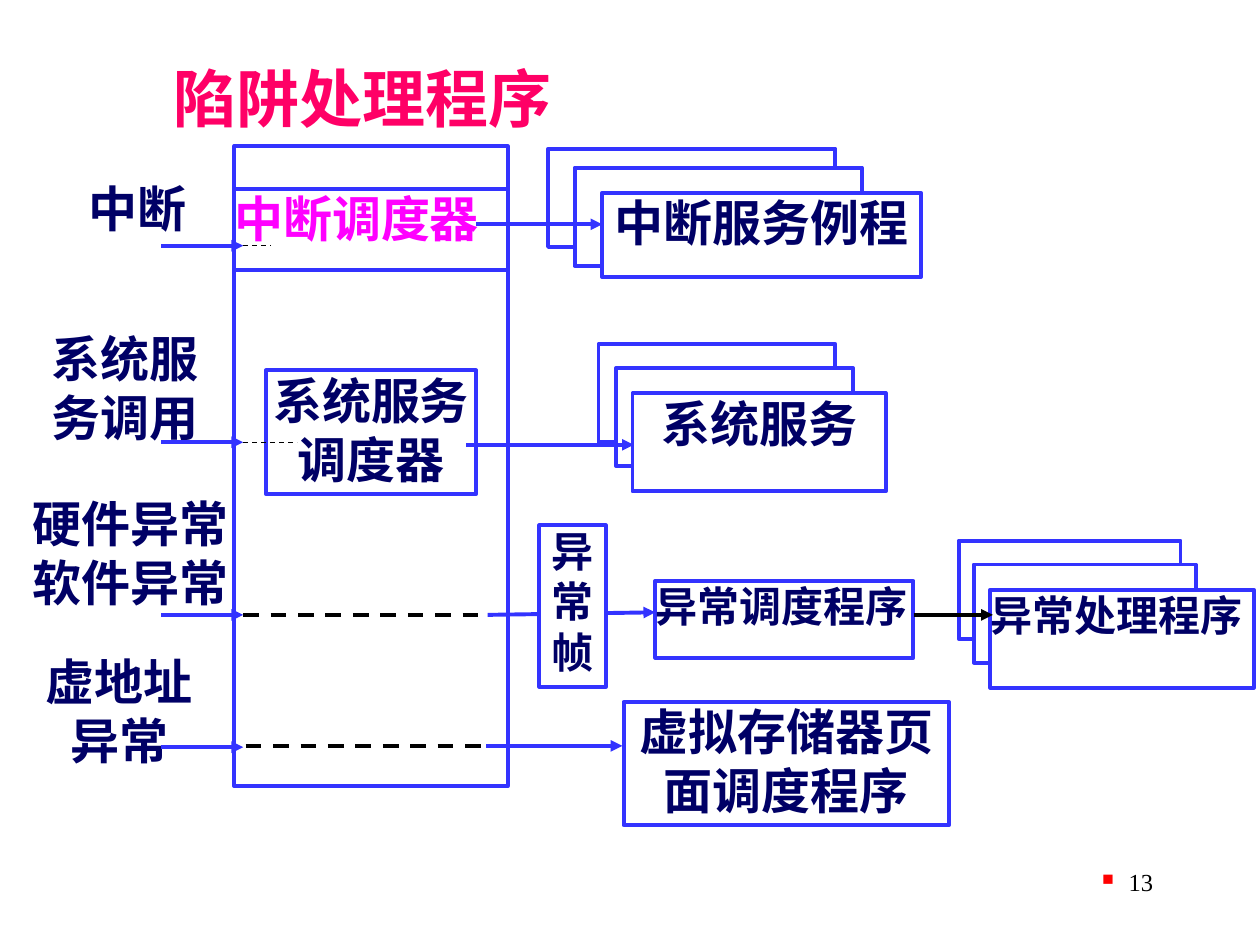
from dataclasses import dataclass
from typing import Optional

from lxml.etree import SubElement
from pptx import Presentation
from pptx.dml.color import RGBColor
from pptx.enum.dml import MSO_LINE
from pptx.enum.shapes import MSO_CONNECTOR, MSO_SHAPE
from pptx.enum.text import MSO_ANCHOR, PP_ALIGN
from pptx.oxml.ns import qn
from pptx.util import Inches, Pt


@dataclass(frozen=True)
class Theme:
    font: str = "Times New Roman"
    paper: str = "FFFFFF"
    blue: str = "3333FF"
    navy: str = "000066"
    pink: str = "FF0066"
    magenta: str = "FF00FF"
    black: str = "000000"
    red: str = "FF0000"
    title: int = 36
    body: int = 28
    small: int = 24
    number: int = 14
    thick: float = 2.25
    thin: float = 0.75


THEME = Theme()


@dataclass(frozen=True)
class Box:
    left: float
    top: float
    width: float
    height: float
    text: str = ""
    size: int = THEME.body
    color: str = THEME.navy
    align: PP_ALIGN = PP_ALIGN.CENTER
    outlined: bool = True
    inset: tuple[float, float] = (0, 0)


@dataclass(frozen=True)
class Link:
    start: tuple[float, float]
    end: tuple[float, float]
    color: str = THEME.blue
    weight: float = THEME.thick
    dashed: bool = False


@dataclass(frozen=True)
class Stack:
    """Empty cards stepping towards a labelled front card."""
    lefts: tuple[float, float]
    tops: tuple[float, float]
    width: float
    front: Box


def write(frame, text: str, size: int, color: str, align: PP_ALIGN, bold: bool = True) -> None:
    for index, words in enumerate(text.split("\n")):
        para = frame.paragraphs[0] if index == 0 else frame.add_paragraph()
        para.alignment = align
        span = para.add_run()
        span.text = words
        for name, value in {"name": THEME.font, "size": Pt(size), "bold": bold}.items():
            setattr(span.font, name, value)
        span.font.color.rgb = RGBColor.from_string(color)


def draw_box(page, box: Box) -> None:
    shape = page.shapes.add_shape(
        MSO_SHAPE.RECTANGLE, *map(Inches, (box.left, box.top, box.width, box.height)))
    shape.shadow.inherit = False
    shape.fill.solid()
    shape.fill.fore_color.rgb = RGBColor.from_string(THEME.paper)
    if box.outlined:
        shape.line.color.rgb = RGBColor.from_string(THEME.blue)
        shape.line.width = Pt(THEME.thick)
    else:
        shape.line.fill.background()
    if box.text:
        side, edge = map(Inches, box.inset)
        layout = {"word_wrap": True, "vertical_anchor": MSO_ANCHOR.TOP,
                  "margin_left": side, "margin_right": side,
                  "margin_top": edge, "margin_bottom": edge}
        for name, value in layout.items():
            setattr(shape.text_frame, name, value)
        write(shape.text_frame, box.text, box.size, box.color, box.align)


def draw_stack(page, stack: Stack) -> None:
    for left, top in zip(stack.lefts, stack.tops):
        draw_box(page, Box(left, top, stack.width, 0.78))
    draw_box(page, stack.front)


def draw_link(page, link: Link) -> None:
    line = page.shapes.add_connector(
        MSO_CONNECTOR.STRAIGHT, *map(Inches, link.start + link.end))
    line.line.color.rgb = RGBColor.from_string(link.color)
    line.line.width = Pt(link.weight)
    if link.dashed:
        line.line.dash_style = MSO_LINE.DASH
    else:
        SubElement(line.line._get_or_add_ln(), qn("a:tailEnd"), type="triangle")
    SubElement(line._element.spPr, qn("a:effectLst"))


def draw_page_number(page, number: str) -> None:
    frame = page.shapes.add_textbox(*map(Inches, (7.17, 6.83, 2.08, 0.5))).text_frame
    frame.word_wrap = True
    write(frame, number, THEME.number, THEME.black, PP_ALIGN.RIGHT, bold=False)
    # Red square bullet
    props = frame.paragraphs[0]._p.get_or_add_pPr()
    props.set("marL", str(Inches(0.21)))
    props.set("indent", str(-Inches(0.21)))
    color = SubElement(props, qn("a:buClr"))
    SubElement(color, qn("a:srgbClr"), val=THEME.red)
    SubElement(props, qn("a:buSzPct"), val="65000")
    SubElement(props, qn("a:buFont"), typeface="Wingdings")
    SubElement(props, qn("a:buChar"), char="n")


def label(left: float, top: float, width: float, height: float, text: str,
          align: PP_ALIGN = PP_ALIGN.CENTER) -> Box:
    return Box(left, top, width, height, text, align=align, outlined=False)


def dashes(start: tuple[float, float], right: float, weight: float) -> Link:
    return Link(start, (right, start[1]), THEME.black, weight, dashed=True)


JUSTIFY = PP_ALIGN.JUSTIFY
TITLE = Box(1.28, 0.42, 3.25, 0.61, "陷阱处理程序", THEME.title, THEME.pink,
            JUSTIFY, outlined=False, inset=(0.1, 0.05))

# Event sources on the left
SOURCES = [
    label(0.28, 5.17, 1.33, 1, "虚地址异常"),
    label(0.2, 3.92, 1.67, 0.92, "硬件异常\n软件异常"),
    label(0.28, 2.61, 1.42, 0.89, "系统服务调用"),
    label(0.7, 1.42, 0.93, 0.59, "中断", JUSTIFY),
]
# Trap handler column with its dispatchers
HANDLER = [
    Box(1.86, 1.16, 2.17, 5.08),
    Box(1.86, 1.5, 2.17, 0.64, "中断调度器", color=THEME.magenta, align=JUSTIFY),
    Box(2.11, 2.94, 1.67, 0.98, "系统服务\n调度器"),
]
# Routines on the right
STACKS = [
    Stack((7.61, 7.73), (4.29, 4.48), 1.76,
          Box(7.86, 4.68, 2.09, 0.78, "异常处理程序", THEME.small, align=JUSTIFY)),
    Stack((4.35, 4.56), (1.18, 1.33), 2.28,
          Box(4.78, 1.53, 2.53, 0.67, "中断服务例程")),
    Stack((4.75, 4.89), (2.73, 2.92), 1.88,
          Box(5.02, 3.12, 2.01, 0.78, "系统服务")),
]
ROUTINES = [
    Box(5.2, 4.61, 2.05, 0.61, "异常调度程序", THEME.small, align=JUSTIFY),
    Box(4.95, 5.57, 2.58, 0.98, "虚拟存储器页面调度程序"),
]
FRAME = Box(4.28, 4.17, 0.53, 1.28, "异常帧", THEME.small)

# Arrows into, through and out of the handler
LINKS = [Link((1.28, y), (1.93, y)) for y in (1.95, 3.51, 4.88, 5.93)] + [
    dashes((1.93, 1.95), 2.15, THEME.thin),
    dashes((1.93, 3.51), 2.36, THEME.thin),
    dashes((1.93, 4.88), 3.87, THEME.thick),
    dashes((1.95, 5.92), 3.86, THEME.thick),
    Link((3.78, 1.78), (4.78, 1.78)),
    Link((3.7, 3.53), (5.03, 3.53)),
    Link((3.87, 4.88), (5.2, 4.86)),
    Link((3.86, 5.92), (4.94, 5.92)),
    Link((7.25, 4.88), (7.88, 4.88), THEME.black),
]

deck = Presentation()
deck.slide_width, deck.slide_height = Inches(10), Inches(7.5)
page = deck.slides.add_slide(deck.slide_layouts[6])

draw_page_number(page, "13")
for box in [TITLE, *SOURCES, *HANDLER]:
    draw_box(page, box)
for stack in STACKS:
    draw_stack(page, stack)
for box in ROUTINES:
    draw_box(page, box)
for link in LINKS:
    draw_link(page, link)
draw_box(page, FRAME)

deck.save("out.pptx")
